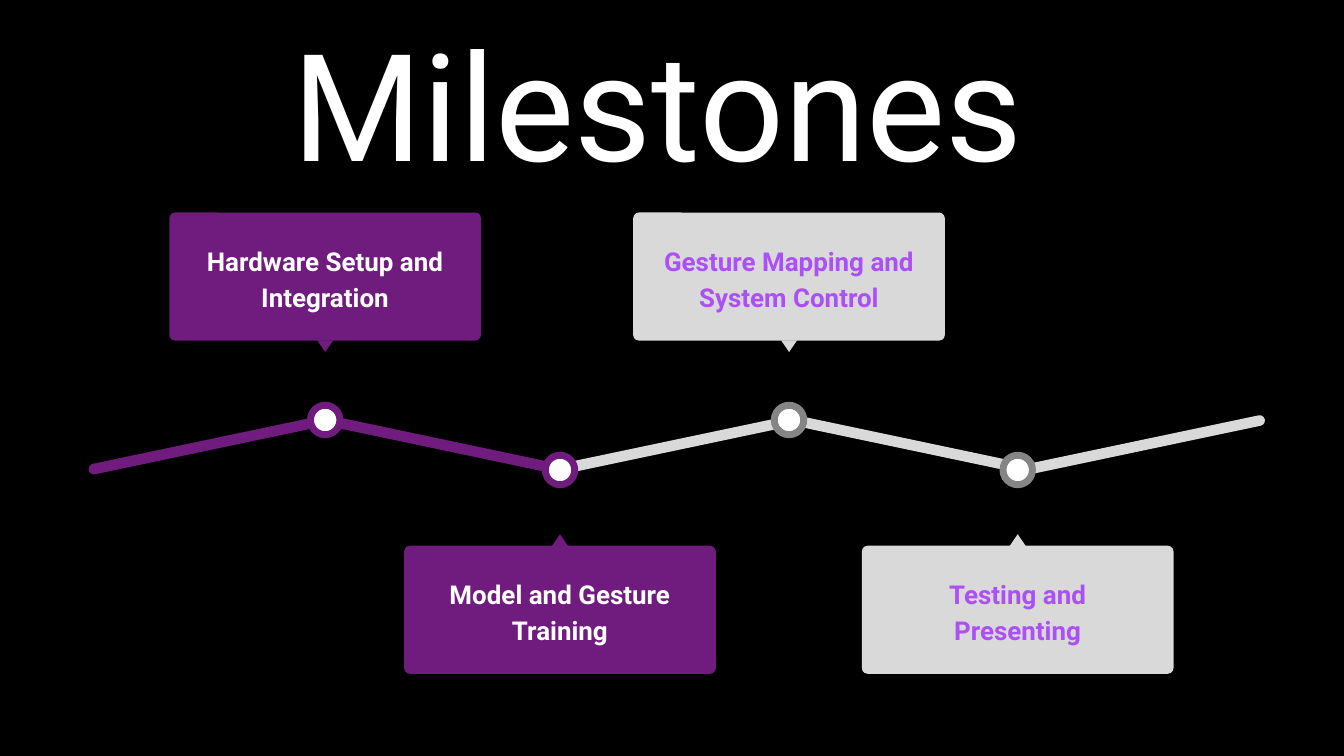
from pptx import Presentation
from pptx.dml.color import RGBColor
from pptx.enum.shapes import MSO_SHAPE as SHAPE
from pptx.enum.text import MSO_ANCHOR as ANCHOR, PP_ALIGN as ALIGN
from pptx.util import Pt

BLACK = RGBColor(0x00, 0x00, 0x00)
WHITE = RGBColor(0xFF, 0xFF, 0xFF)
PURPLE = RGBColor(0x70, 0x1C, 0x7F)
VIOLET = RGBColor(0xAB, 0x4F, 0xF6)
LIGHT = RGBColor(0xD9, 0xD9, 0xD9)
GRAY = RGBColor(0x85, 0x85, 0x85)

TITLE = "Milestones"
DONE = dict(fill=PURPLE, ring=PURPLE, color=WHITE)
OPEN = dict(fill=LIGHT, ring=GRAY, color=VIOLET)
MILESTONES = [
    ("Hardware Setup and Integration", 174.2, DONE),
    ("Model and Gesture Training", 300, DONE),
    ("Gesture Mapping and System Control", 422.7, OPEN),
    ("Testing and Presenting", 545.2, OPEN),
]
SEGMENTS = [PURPLE, PURPLE, LIGHT, LIGHT, LIGHT]

SEGMENT_X, SEGMENT_STEP, SEGMENT_Y = 112, 125.28, 238.3
SEGMENT_W, SEGMENT_H, TILT = 131.8, 5.7, 11.9
CARD_W, CARD_H, PAD = 167, 68.6, 4.3
POINTER_W, POINTER_H = 8.6, 6.3
NODE, RING = 15.8, 3.72
ABOVE = dict(card=113.9, pointer=182.3, node=225, turn=180)
BELOW = dict(card=292.4, pointer=286.2, node=251.8, turn=0)

prs = Presentation()
prs.slide_width, prs.slide_height = Pt(720), Pt(405)
s = prs.slides.add_slide(prs.slide_layouts[6])
s.background.fill.solid()
s.background.fill.fore_color.rgb = BLACK


def add_shape(kind, cx, y, w, h, fill, line=None, rotation=0, radius=None):
    sp = s.shapes.add_shape(kind, Pt(cx - w / 2), Pt(y), Pt(w), Pt(h))
    sp.shadow.inherit = False
    sp.fill.solid()
    sp.fill.fore_color.rgb = fill
    if line is None:
        sp.line.fill.background()
    else:
        sp.line.color.rgb = line
        sp.line.width = Pt(RING)
    if radius is not None:
        sp.adjustments[0] = radius
    sp.rotation = rotation


def add_text(text, cx, y, w, h, *, size, color, spacing, insets,
             bold=False, anchor=ANCHOR.MIDDLE):
    tf = s.shapes.add_textbox(Pt(cx - w / 2), Pt(y), Pt(w), Pt(h)).text_frame
    tf.word_wrap = True
    tf.vertical_anchor = anchor
    tf.margin_left, tf.margin_top, tf.margin_right, tf.margin_bottom = map(Pt, insets)
    p = tf.paragraphs[0]
    p.alignment = ALIGN.CENTER
    p.line_spacing = spacing
    r = p.add_run()
    r.text = text
    r.font.name = "Roboto"
    r.font.size = Pt(size)
    r.font.bold = bold
    r.font.color.rgb = color


add_text(TITLE, 356, 18, 651.6, 113.8, size=80, color=WHITE, spacing=0.8,
         insets=(0, 7.2, 7.2, 7.2), anchor=ANCHOR.TOP)

for i, color in enumerate(SEGMENTS):
    add_shape(SHAPE.ROUNDED_RECTANGLE, SEGMENT_X + i * SEGMENT_STEP,
              SEGMENT_Y - SEGMENT_H / 2, SEGMENT_W, SEGMENT_H, color,
              rotation=TILT if i % 2 else -TILT, radius=0.5)

for i, (label, cx, style) in enumerate(MILESTONES):
    side = BELOW if i % 2 else ABOVE
    add_shape(SHAPE.ROUNDED_RECTANGLE, cx, side["card"], CARD_W, CARD_H,
              style["fill"], radius=0.045)
    add_shape(SHAPE.ISOSCELES_TRIANGLE, cx, side["pointer"], POINTER_W, POINTER_H,
              style["fill"], rotation=side["turn"])
    add_text(label, cx, side["card"] + PAD - 0.5, CARD_W - 2 * PAD, CARD_H - 2 * PAD + 1,
             size=13.9, color=style["color"], spacing=1.15, insets=[8.6] * 4, bold=True)
    add_shape(SHAPE.OVAL, cx, side["node"] - NODE / 2, NODE, NODE, WHITE,
              line=style["ring"])

prs.save("out.pptx")
